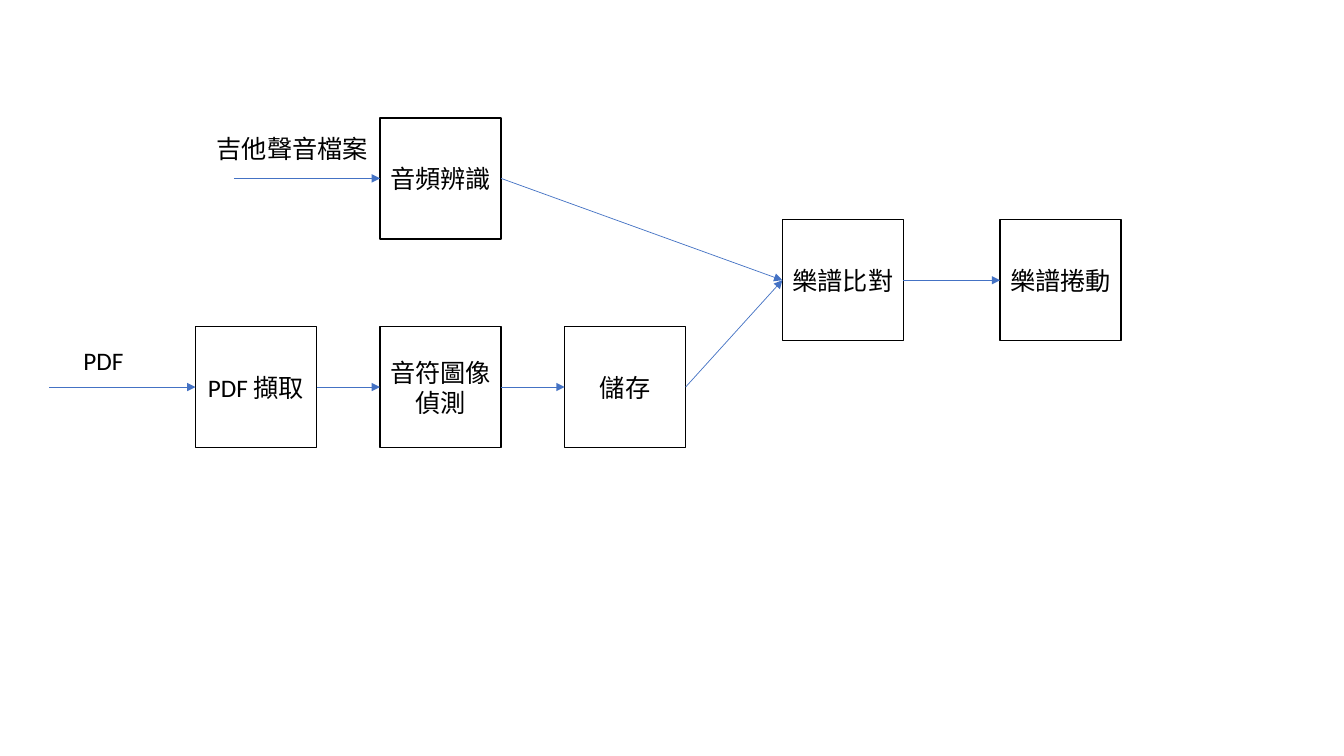
from dataclasses import dataclass
from typing import Any, Optional

from lxml import etree
from pptx import Presentation
from pptx import util as u
from pptx.dml.color import RGBColor
from pptx.enum import shapes, text
from pptx.oxml.ns import qn


@dataclass(frozen=True)
class Theme:
    ink: RGBColor = RGBColor(0x00, 0x00, 0x00)
    paper: RGBColor = RGBColor(0xFF, 0xFF, 0xFF)
    arrow: RGBColor = RGBColor(0x44, 0x72, 0xC4)
    font: str = "Calibri"
    size: float = 18
    box_line: float = 1
    arrow_line: float = 0.5


@dataclass(frozen=True)
class Step:
    label: str
    left: float
    top: float


@dataclass(frozen=True)
class Source:
    label: str
    left: float
    top: float
    width: float
    target: str


THEME = Theme()
SIDE = 1.2
ENTRY_LENGTH = 1.45
LABEL_HEIGHT = 0.4
LEFT_SIDE, RIGHT_SIDE = 1, 3

PDF_X, PITCH = 1.94, 1.83
AUDIO_Y, MATCH_Y, PDF_Y = 1.17, 2.18, 3.24

STEPS = [
    Step("PDF 擷取", PDF_X, PDF_Y),
    Step("音符圖像偵測", PDF_X + PITCH, PDF_Y),
    Step("音頻辨識", PDF_X + PITCH, AUDIO_Y),
    Step("儲存", PDF_X + 2 * PITCH, PDF_Y),
    Step("樂譜比對", 7.76, MATCH_Y),
    Step("樂譜捲動", 9.92, MATCH_Y),
]
SOURCES = [
    Source("PDF", 0.73, 3.38, 0.6, "PDF 擷取"),
    Source("吉他聲音檔案", 2.05, 1.27, 1.72, "音頻辨識"),
]
FLOWS = [
    ("PDF 擷取", "音符圖像偵測"),
    ("音符圖像偵測", "儲存"),
    ("音頻辨識", "樂譜比對"),
    ("儲存", "樂譜比對"),
    ("樂譜比對", "樂譜捲動"),
]


def apply(target: Any, values: dict[str, Any]) -> None:
    for name, value in values.items():
        setattr(target, name, value)


def write(tf: Any, label: str, align: Any) -> None:
    p = tf.paragraphs[0]
    p.alignment = align
    r = p.add_run()
    r.text = label
    apply(r.font, {"name": THEME.font, "size": u.Pt(THEME.size)})
    r.font.color.rgb = THEME.ink


def add_step(s: Any, step: Step) -> Any:
    sp = s.shapes.add_shape(
        shapes.MSO_SHAPE.RECTANGLE,
        u.Inches(step.left), u.Inches(step.top), u.Inches(SIDE), u.Inches(SIDE),
    )
    sp.shadow.inherit = False
    sp.fill.solid()
    sp.fill.fore_color.rgb = THEME.paper
    sp.line.color.rgb = THEME.ink
    sp.line.width = u.Pt(THEME.box_line)
    apply(sp.text_frame, {"word_wrap": True, "vertical_anchor": text.MSO_ANCHOR.MIDDLE})
    write(sp.text_frame, step.label, text.PP_ALIGN.CENTER)
    return sp


def add_arrow(s: Any, end: Any, start: Optional[Any] = None) -> None:
    """Join start to end, or lead in from the left when there is no start."""
    y = end.top + end.height // 2
    cxn = s.shapes.add_connector(
        shapes.MSO_CONNECTOR.STRAIGHT, end.left - u.Inches(ENTRY_LENGTH), y, end.left, y
    )
    if start is not None:
        cxn.begin_connect(start, RIGHT_SIDE)
    cxn.end_connect(end, LEFT_SIDE)
    cxn.line.color.rgb = THEME.arrow
    cxn.line.width = u.Pt(THEME.arrow_line)
    ln = cxn.line._get_or_add_ln()
    etree.SubElement(ln, qn("a:tailEnd"), type="triangle")
    etree.SubElement(cxn._element.spPr, qn("a:effectLst"))


def add_label(s: Any, source: Source) -> None:
    tb = s.shapes.add_textbox(
        u.Inches(source.left), u.Inches(source.top),
        u.Inches(source.width), u.Inches(LABEL_HEIGHT),
    )
    apply(tb.text_frame, {"word_wrap": False, "auto_size": text.MSO_AUTO_SIZE.SHAPE_TO_FIT_TEXT})
    write(tb.text_frame, source.label, text.PP_ALIGN.LEFT)


def main() -> None:
    prs = Presentation()
    apply(prs, {"slide_width": u.Inches(13.33), "slide_height": u.Inches(7.5)})
    s = prs.slides.add_slide(prs.slide_layouts[6])
    boxes = {step.label: add_step(s, step) for step in STEPS}
    for source in SOURCES:
        add_arrow(s, boxes[source.target])
        add_label(s, source)
    for start, end in FLOWS:
        add_arrow(s, boxes[end], boxes[start])
    prs.save("out.pptx")


if __name__ == "__main__":
    main()
